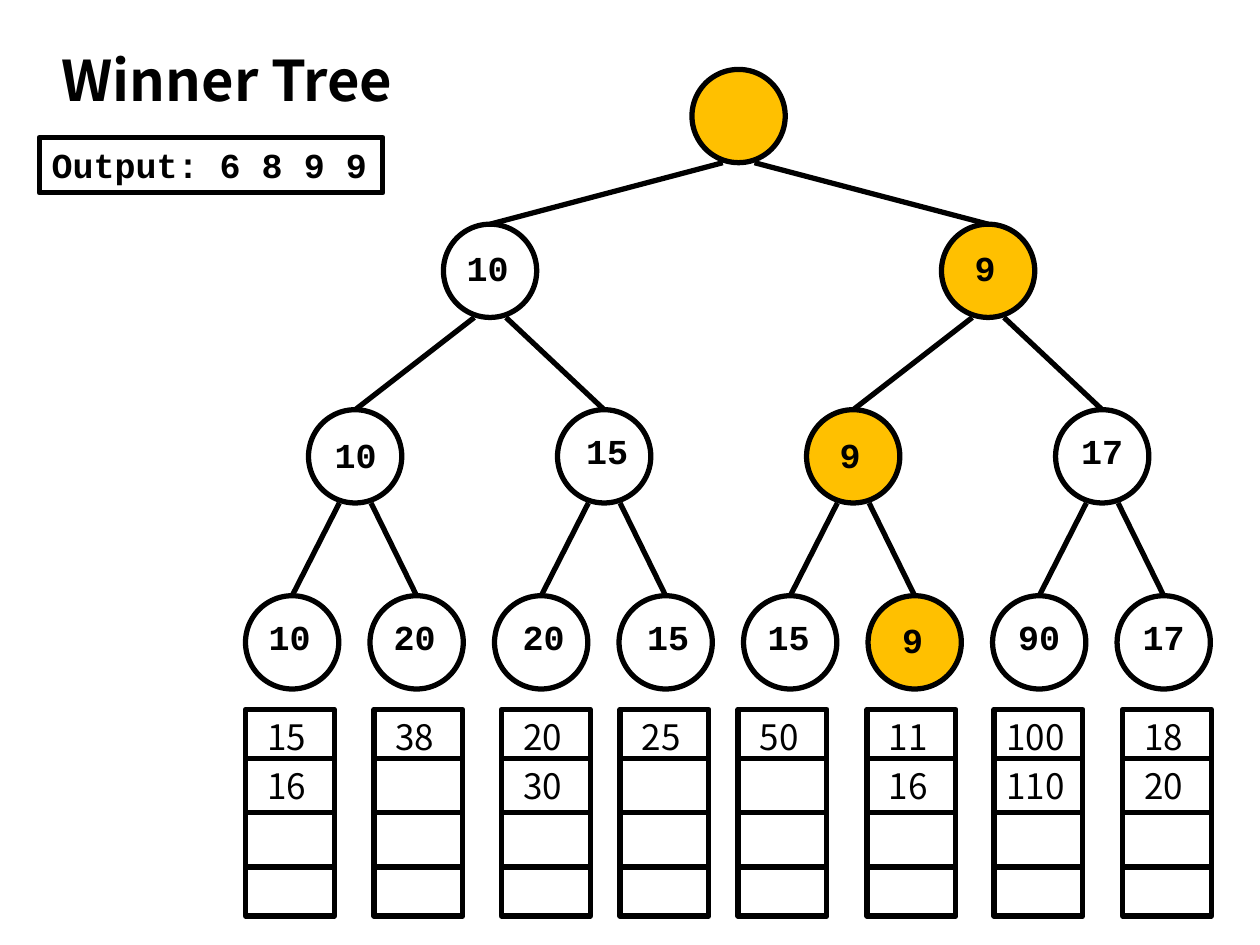
"""Build the winner tree slide: a tournament tree over eight sorted runs."""
from pptx import Presentation
from pptx.dml.color import RGBColor
from pptx.enum.shapes import MSO_CONNECTOR as Connector, MSO_SHAPE as Shape
from pptx.enum.text import MSO_ANCHOR as Anchor, MSO_AUTO_SIZE as AutoSize, PP_ALIGN as Align
from pptx.oxml.ns import qn
from pptx.util import Cm, Pt
from lxml import etree

BLACK, GOLD = "000000", "FFC000"
MONO, SANS = "Courier New", "Noto Sans CJK KR"

TITLE = "Winner Tree"
OUTPUT = "Output: 6 8 9 9"

# Each level: top, first centre, pitch, nodes as (label, winner, label shift x, label drop)
LEVELS = [
    (1.4, 14.89, 0, [("", True, 0, 0)]),
    (4.52, 9.88, 10.04, [("10", False, -0.05, 0.33), ("9", True, -0.06, 0.33)]),
    (8.26, 7.16, 5.02, [("10", False, 0.01, 0.35), ("15", False, 0.06, 0.28),
                        ("9", True, -0.06, 0.35), ("17", False, 0, 0.28)]),
    (12.01, 5.89, 2.51, [("10", False, -0.05, 0.28), ("20", False, -0.04, 0.28),
                         ("20", False, 0.05, 0.28), ("15", False, 0.05, 0.28),
                         ("15", False, -0.03, 0.28), ("9", True, -0.04, 0.33),
                         ("90", False, 0, 0.28), ("17", False, 0, 0.28)]),
]
RUNS = [
    (4.95, ["15", "16"]), (7.54, ["38"]), (10.11, ["20", "30"]), (12.5, ["25"]),
    (14.88, ["50"]), (17.48, ["11", "16"]), (20.04, ["100", "110"]), (22.63, ["18", "20"]),
]
DIAMETER, EDGE_SPREAD = 1.88, 0.32
RUN_TOP, RUN_WIDTH, RUN_HEIGHT = 14.3, 1.79, 4.17
ROW_LINES = [15.29, 16.38, 17.48]
TEXT_HEIGHT = 1.12
LABEL_WIDTHS = {1: 1.35, 2: 1.68}
VALUE_WIDTHS = {2: 1.42, 3: 1.79}


def color(value):
    return RGBColor.from_string(value)


def write(shape, text, font, size=20, bold=False, align=Align.LEFT, wrap=True):
    frame = shape.text_frame
    frame.text = text
    frame.word_wrap = wrap
    frame.auto_size = AutoSize.SHAPE_TO_FIT_TEXT
    frame.vertical_anchor = Anchor.TOP
    paragraph = frame.paragraphs[0]
    paragraph.alignment = align
    run_font = paragraph.runs[0].font
    run_font.name, run_font.size, run_font.bold = font, Pt(size), bold
    run_font.color.rgb = color(BLACK)
    properties = paragraph.runs[0]._r.get_or_add_rPr()
    etree.SubElement(properties, qn("a:ea")).set("typeface", font)


def add_text(slide, left, top, width, height, text, font, **style):
    box = slide.shapes.add_textbox(Cm(left), Cm(top), Cm(width), Cm(height))
    write(box, text, font, **style)


def add_outline(slide, kind, left, top, width, height, fill=None):
    shape = slide.shapes.add_shape(kind, Cm(left), Cm(top), Cm(width), Cm(height))
    shape.shadow.inherit = False
    shape.line.color.rgb = color(BLACK)
    shape.line.width = Pt(3)
    if fill:
        shape.fill.solid()
        shape.fill.fore_color.rgb = color(fill)
    else:
        shape.fill.background()
    return shape


def add_line(slide, x1, y1, x2, y2):
    line = slide.shapes.add_connector(Connector.STRAIGHT, Cm(x1), Cm(y1), Cm(x2), Cm(y2))
    line.line.color.rgb = color(BLACK)
    line.line.width = Pt(3)
    etree.SubElement(line._element.spPr, qn("a:effectLst"))
    return line


def add_tree(slide):
    parents = []
    for top, first, pitch, nodes in LEVELS:
        centers = [first + pitch * index for index in range(len(nodes))]
        for index, (center, (label, winner, shift, drop)) in enumerate(zip(centers, nodes)):
            circle = add_outline(slide, Shape.OVAL, center - DIAMETER / 2, top,
                                 DIAMETER, DIAMETER, GOLD if winner else None)
            if label:
                width = LABEL_WIDTHS[len(label)]
                add_text(slide, center + shift - width / 2, top + drop, width, TEXT_HEIGHT,
                         label, MONO, bold=True, align=Align.CENTER)
            if parents:
                parent_center, parent_bottom = parents[index // 2]
                spread = EDGE_SPREAD if index % 2 else -EDGE_SPREAD
                edge = add_line(slide, center, top, parent_center + spread, parent_bottom)
                edge.begin_connect(circle, 0)
        parents = [(center, top + DIAMETER) for center in centers]


def add_run(slide, left, values):
    add_outline(slide, Shape.RECTANGLE, left, RUN_TOP, RUN_WIDTH, RUN_HEIGHT)
    for y in ROW_LINES:
        add_line(slide, left, y, left + RUN_WIDTH, y)
    for top, value in zip([RUN_TOP] + ROW_LINES, values):
        width = VALUE_WIDTHS[len(value)]
        add_text(slide, left + (RUN_WIDTH - width) / 2, top, width, TEXT_HEIGHT, value, SANS)


def main():
    presentation = Presentation()
    presentation.slide_width, presentation.slide_height = Cm(25.4), Cm(19.05)
    slide = presentation.slides.add_slide(presentation.slide_layouts[6])
    add_tree(slide)
    for left, values in RUNS:
        add_run(slide, left, values)
    add_text(slide, 0.99, 0.79, 8.53, 1.63, TITLE, SANS, size=32, bold=True)
    output = add_outline(slide, Shape.RECTANGLE, 0.79, 2.77, 6.93, TEXT_HEIGHT)
    write(output, OUTPUT, MONO, bold=True, wrap=False)
    presentation.save("out.pptx")


if __name__ == "__main__":
    main()
